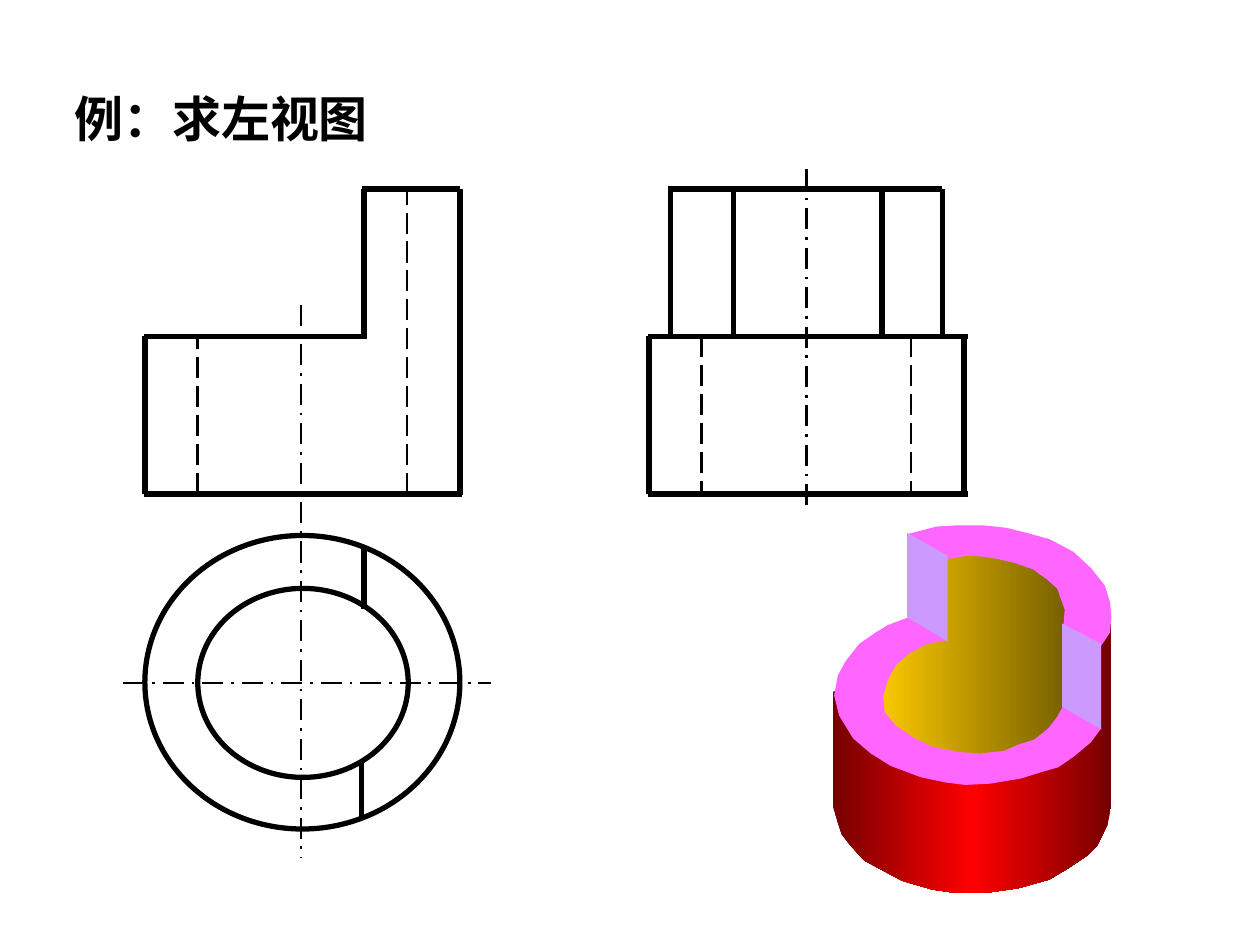
from copy import deepcopy
from dataclasses import dataclass

from pptx import Presentation
from pptx.dml.color import RGBColor
from pptx.enum.dml import MSO_LINE
from pptx.enum.shapes import MSO_CONNECTOR, MSO_SHAPE
from pptx.enum.text import MSO_ANCHOR, PP_ALIGN
from pptx.oxml.ns import qn
from pptx.util import Inches, Pt
from lxml import etree

STRAIGHT = MSO_CONNECTOR.STRAIGHT
OVAL = MSO_SHAPE.OVAL
DASH = MSO_LINE.LONG_DASH
AXIS = MSO_LINE.LONG_DASH_DOT
TOP = MSO_ANCHOR.TOP
LEFT = PP_ALIGN.LEFT


@dataclass(frozen=True)
class Theme:
    """Colours, font and sizes of the slide."""
    ink: str = "000000"
    face: str = "FF66FF"
    cut: str = "CC99FF"
    wall: tuple = ("760000", "FF0000", "760000")
    bore: tuple = ("FFCC00", "765E00")
    font: str = "Noto Sans CJK SC"
    title: float = 28
    thick: float = 3
    thin: float = 1.5


THEME = Theme()

WALL = [(0, 132), (0, 223), (4, 236), (7, 245), (14, 254), (25, 266), (40, 274),
        (55, 282), (79, 289), (100, 292), (126, 291), (147, 288), (172, 281),
        (187, 272), (202, 262), (210, 254), (218, 238), (221, 223), (221, 71)]
BORE = [(89, 21), (89, 86), (47, 99), (32, 141), (60, 175), (113, 190),
        (163, 183), (188, 147), (187, 47), (159, 21), (101, 10)]
LOW = [(60, 73), (44, 79), (34, 85), (21, 94), (10, 108), (4, 119), (1, 135),
       (5, 151), (16, 169), (30, 181), (46, 191), (70, 200), (89, 204),
       (105, 206), (125, 205), (149, 201), (165, 196), (179, 192), (192, 183),
       (205, 172), (213, 161), (183, 143), (178, 152), (171, 161), (160, 170),
       (147, 174), (136, 179), (117, 181), (101, 180), (80, 176), (65, 169),
       (50, 159), (41, 148), (40, 135), (44, 122), (50, 111), (60, 102),
       (75, 94), (91, 91)]
HIGH = [(59, 7), (82, 1), (98, 0), (120, 0), (138, 2), (154, 6), (172, 11),
        (191, 21), (205, 34), (216, 48), (220, 61), (221, 73), (220, 85),
        (212, 97), (183, 80), (184, 67), (178, 50), (170, 43), (159, 35),
        (145, 30), (132, 27), (121, 25), (107, 24), (90, 27)]
BACK = [(59, 6), (91, 24), (91, 92), (59, 73)]
FRONT = [(182, 78), (213, 94), (213, 162), (182, 144)]


def rgb(code):
    """Turn a hex code into a colour."""
    return RGBColor.from_string(code)


def write(frame, text, size, color, bold=False, align=LEFT):
    """Put one formatted paragraph into a text frame."""
    para = frame.paragraphs[0]
    para.alignment = align
    run = para.add_run()
    run.text = text
    font = run.font
    font.name, font.size, font.bold = THEME.font, Pt(size), bold
    font.color.rgb = rgb(color)
    east = etree.SubElement(run._r.get_or_add_rPr(), qn("a:ea"))
    east.set("typeface", THEME.font)


def place(shape, left, top, width, height):
    """Set the box of a shape in inches."""
    shape.left, shape.top = Inches(left), Inches(top)
    shape.width, shape.height = Inches(width), Inches(height)


def rule(slide, box, start, end, dash=None):
    """Draw a line between two points of a box, thin when dashed."""
    left, top = box
    line = slide.shapes.add_connector(
        STRAIGHT, Inches(left + start[0]), Inches(top + start[1]),
        Inches(left + end[0]), Inches(top + end[1]))
    line.line.color.rgb = rgb(THEME.ink)
    line.line.width = Pt(THEME.thin if dash else THEME.thick)
    if dash:
        line.line.dash_style = dash
    etree.SubElement(line._element.spPr, qn("a:effectLst"))


def ring(slide, box, inset, width, height):
    """Draw an open ellipse inset in a box."""
    oval = slide.shapes.add_shape(OVAL, 0, 0, 0, 0)
    place(oval, box[0] + inset[0], box[1] + inset[1], width, height)
    oval.shadow.inherit = False
    oval.fill.background()
    oval.line.color.rgb = rgb(THEME.ink)
    oval.line.width = Pt(THEME.thick)


def blend(shape, colors):
    """Fill a shape with evenly spaced colours from left to right."""
    shape.fill.gradient()
    shape.fill.gradient_angle = 0
    stops = shape._element.spPr.find(".//" + qn("a:gsLst"))
    for _ in colors[2:]:
        stops.append(deepcopy(stops[0]))
    for i, (stop, color) in enumerate(zip(shape.fill.gradient_stops, colors)):
        stop.position = i / (len(colors) - 1)
        stop.color.rgb = rgb(color)


def patch(slide, box, points, paint):
    """Fill an outline given in hundredths of an inch."""
    pen = slide.shapes.build_freeform(*points[0], scale=Inches(0.01))
    pen.add_line_segments(points[1:], close=True)
    shape = pen.convert_to_shape(Inches(box[0]), Inches(box[1]))
    shape.shadow.inherit = False
    shape.line.fill.background()
    if isinstance(paint, tuple):
        blend(shape, paint)
    else:
        shape.fill.solid()
        shape.fill.fore_color.rgb = rgb(paint)


def head(slide, box):
    """Place and fill the title."""
    title = slide.shapes.title
    place(title, *box)
    frame = title.text_frame
    frame.word_wrap, frame.vertical_anchor = True, TOP
    write(frame, "例：求左视图", THEME.title, THEME.ink, bold=True)


def side(slide, box):
    """Draw the left view."""
    rule(slide, box, (1.25, -0.16), (1.25, 2.57), AXIS)
    for y in (1.17, 2.42):
        rule(slide, box, (-0.01, y), (2.53, y))
    for x in (0, 2.5):
        rule(slide, box, (x, 1.17), (x, 2.42))
    rule(slide, box, (0.15, 0), (2.33, 0))
    for x in (0.17, 0.67, 1.85, 2.33):
        rule(slide, box, (x, 0), (x, 1.17))
    for x in (0.42, 2.08):
        rule(slide, box, (x, 1.17), (x, 2.42), DASH)


def front(slide, box):
    """Draw the front view."""
    for start, end in (((-0.01, 2.42), (2.52, 2.42)), ((2.5, 0), (2.5, 2.43)),
                       ((1.74, 0), (1.74, 1.17)), ((1.76, 1.17), (-0.01, 1.17)),
                       ((0, 1.17), (0, 2.42)), ((1.72, 0), (2.5, 0))):
        rule(slide, box, start, end)
    for x, y in ((0.42, 1.17), (2.08, 0)):
        rule(slide, box, (x, 2.42), (x, y), DASH)


def plan(slide, box):
    """Draw the top view with its axes."""
    ring(slide, box, (0.42, 0.42), 1.67, 1.5)
    ring(slide, box, (0, 0), 2.5, 2.33)
    rule(slide, box, (1.24, -1.83), (1.24, 2.56), AXIS)
    rule(slide, box, (-0.17, 1.17), (2.75, 1.17), AXIS)
    rule(slide, box, (1.74, 0.08), (1.74, 0.58))
    rule(slide, box, (1.72, 1.78), (1.72, 2.26))


def solid(slide, box):
    """Draw the cut hollow cylinder."""
    for points, paint in ((WALL, THEME.wall), (BORE, THEME.bore),
                          (LOW, THEME.face), (HIGH, THEME.face),
                          (BACK, THEME.cut), (FRONT, THEME.cut)):
        patch(slide, box, points, paint)


def main():
    """Build and save the slide."""
    deck = Presentation()
    deck.slide_width, deck.slide_height = Inches(10), Inches(7.5)
    slide = deck.slides.add_slide(deck.slide_layouts[5])
    head(slide, (0.49, 0.65, 3.58, 0.57))
    side(slide, (5.15, 1.5))
    front(slide, (1.15, 1.5))
    plan(slide, (1.15, 4.25))
    solid(slide, (6.61, 4.17))
    deck.save("out.pptx")


if __name__ == "__main__":
    main()
